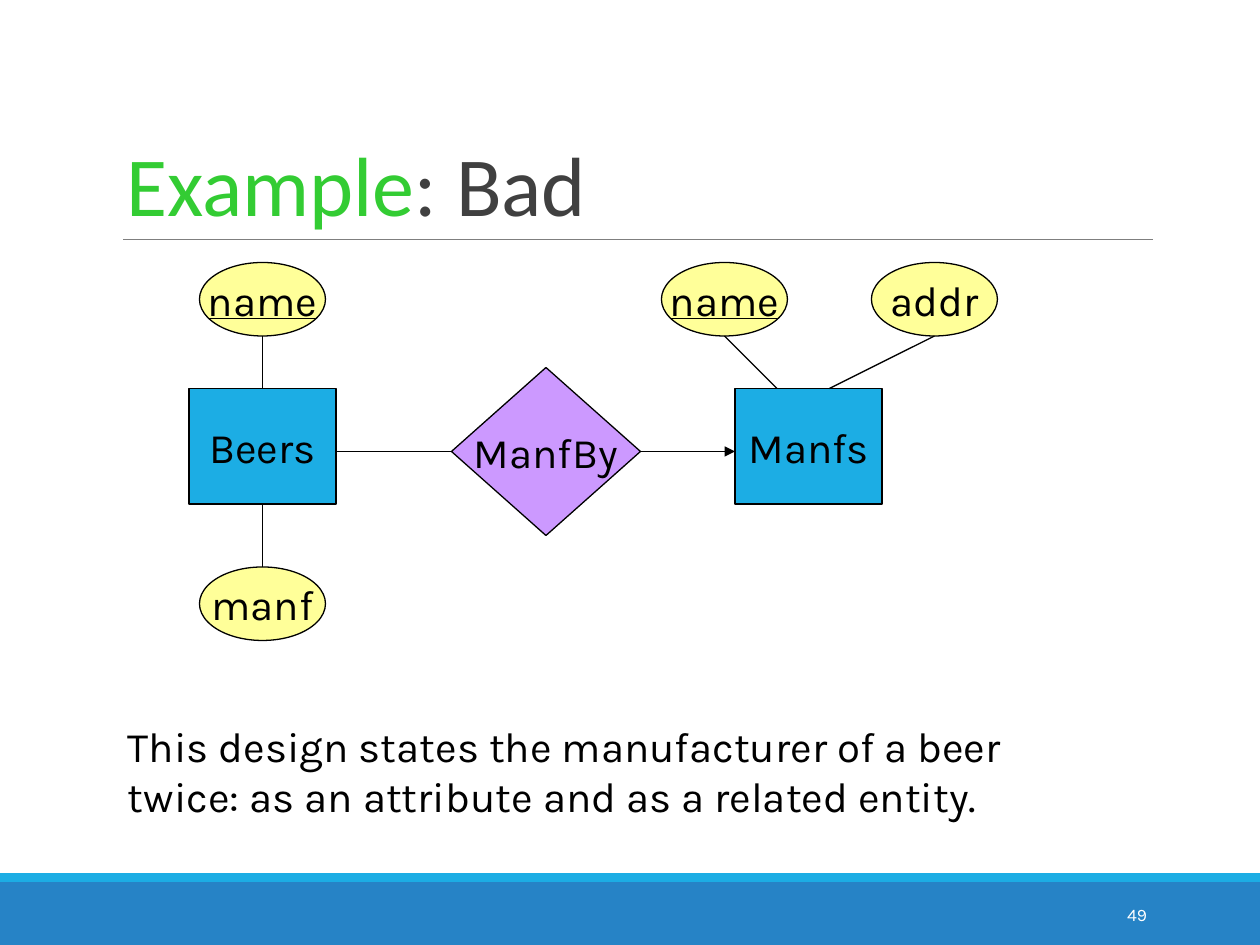
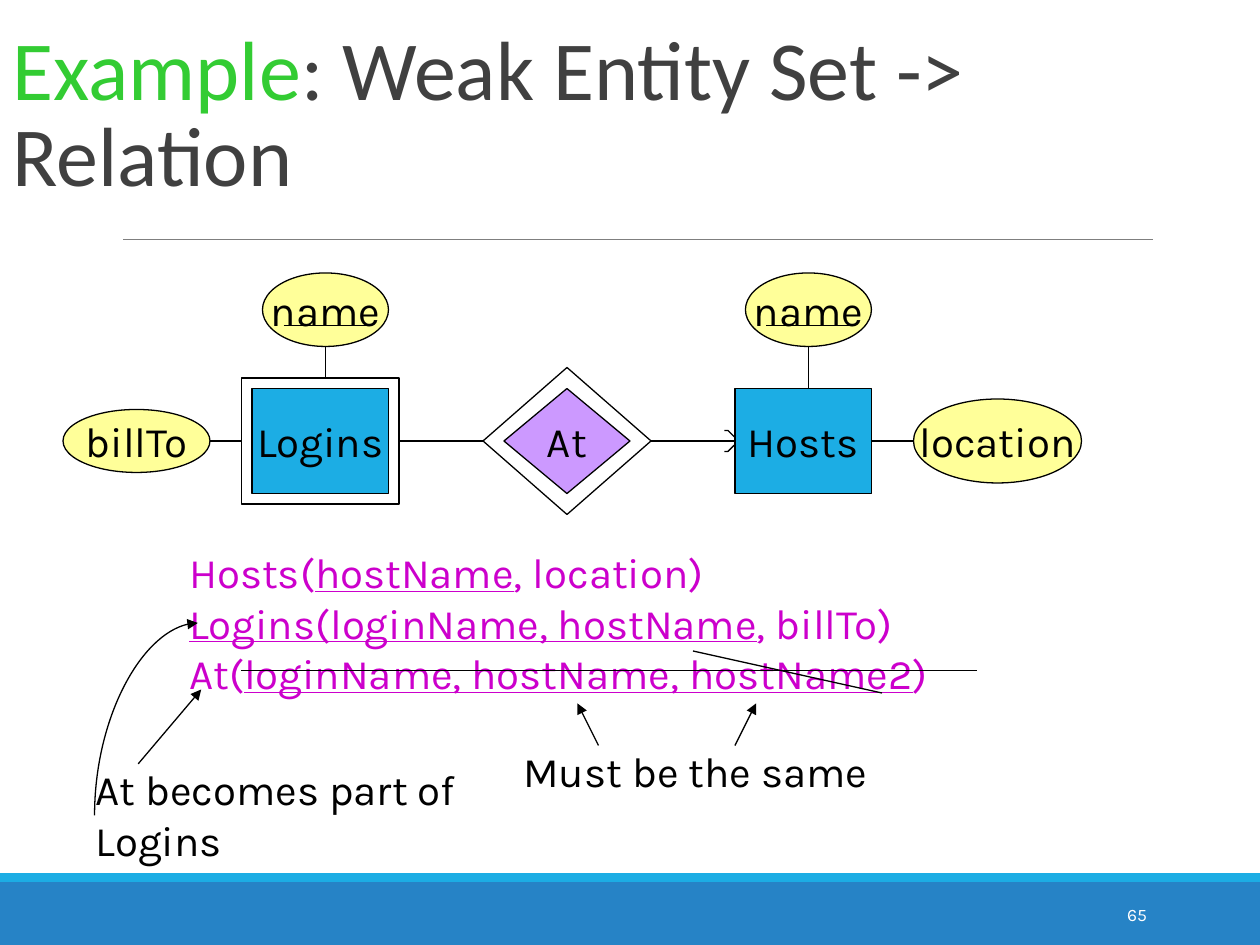
from math import cos, pi, sin

from pptx import Presentation
from pptx.dml.color import RGBColor
from pptx.enum.shapes import MSO_CONNECTOR as Conn, MSO_SHAPE as Kind
from pptx.enum.text import MSO_ANCHOR as Anchor, MSO_AUTO_SIZE as Fit, PP_ALIGN as Align
from pptx.oxml.ns import qn
from pptx.util import Pt
from lxml.etree import SubElement

WIDE, HIGH = 720, 540
HEAD, BODY = "Calibri", "Karla"
HUES = {
    "band": "2683C6", "sky": "1CADE4", "rule": "7F7F7F", "green": "33CC33",
    "title": "404040", "ink": "000000", "white": "FFFFFF",
    "yellow": "FFFF99", "lilac": "CC99FF", "pink": "CC00CC",
}
NODES = {
    "entity": (Kind.RECTANGLE, "sky"),
    "link": (Kind.DIAMOND, "lilac"),
    "field": (Kind.OVAL, "yellow"),
    "frame": (Kind.RECTANGLE, None),
    "rim": (Kind.DIAMOND, None),
}


def hue(name):
    return RGBColor.from_string(HUES[name])


def place(box):
    return [Pt(n) for n in box]


def style(run, size, color, face=BODY, under=None):
    font = run.font
    font.size, font.name, font.underline = Pt(size), face, under
    font.color.rgb = hue(color)


def paint(shape, fill, line="ink"):
    shape.shadow.inherit = False
    if fill:
        shape.fill.solid()
        shape.fill.fore_color.rgb = hue(fill)
    else:
        shape.fill.background()
    if line:
        shape.line.color.rgb = hue(line)
        shape.line.width = Pt(0.75)
    else:
        shape.line.fill.background()


def stroke(shapes, start, end, arrow=False, color="ink", width=0.75, kind=Conn.STRAIGHT):
    line = shapes.add_connector(kind, *place(start + end))
    line.line.color.rgb = hue(color)
    line.line.width = Pt(width)
    props = line._element.spPr
    if arrow:
        SubElement(props.find(qn("a:ln")), qn("a:tailEnd"), type="triangle")
    SubElement(props, qn("a:effectLst"))
    return line


def bend(shapes, start, end):
    (left, low), (right, top) = start, end
    mid_x, mid_y = (left + right) / 2, (low + top) / 2
    half_w, half_h = (low - top) / 2, (right - left) / 2
    line = stroke(shapes, (mid_x + half_w, mid_y + half_h),
                  (mid_x - half_w, mid_y - half_h), True, kind=Conn.CURVE)
    props = line._element.spPr
    props.find(qn("a:xfrm")).set("rot", str(90 * 60000))
    props.find(qn("a:prstGeom")).set("prst", "curvedConnector2")


def fill_line(para, text, color):
    for i, part in enumerate(text.split("|")):
        if part:
            run = para.add_run()
            run.text = part
            style(run, 24, color, under=True if i % 2 else None)


def write(shapes, box, lines, color="ink", wrap=False):
    frame = shapes.add_textbox(*place(box)).text_frame
    frame.word_wrap = wrap
    frame.auto_size = Fit.SHAPE_TO_FIT_TEXT
    for i, text in enumerate(lines):
        para = frame.add_paragraph() if i else frame.paragraphs[0]
        fill_line(para, text, color)


def draw_node(shapes, role, box, text):
    kind, fill = NODES[role]
    shape = shapes.add_shape(kind, *place(box))
    paint(shape, fill)
    if text:
        frame = shape.text_frame
        frame.word_wrap = False
        frame.vertical_anchor = Anchor.MIDDLE
        para = frame.paragraphs[0]
        para.alignment = Align.CENTER
        fill_line(para, text, "ink")


def draw_graph(slide, left, top, nodes, links):
    for role, (x, y, w, h), text in nodes:
        draw_node(slide.shapes, role, (left + x, top + y, w, h), text)
    for (x1, y1), (x2, y2), *arrow in links:
        stroke(slide.shapes, (left + x1, top + y1), (left + x2, top + y2), *arrow)


def draw_arc(slide, left, mid, size):
    steps = [pi * (i / 12 - 0.5) for i in range(13)]
    dots = [(left + size * cos(t), mid + size * sin(t)) for t in steps]
    path = slide.shapes.build_freeform(*dots[0], scale=Pt(1))
    path.add_line_segments(dots[1:], close=False)
    paint(path.convert_to_shape(), None)


def draw_foot(slide, number):
    for top, high, color in ((504, 36, "band"), (499, 5, "sky")):
        band = slide.shapes.add_shape(Kind.RECTANGLE, *place((0, top, WIDE, high)))
        paint(band, color, None)
    frame = slide.shapes.add_textbox(*place((584.5, 508.5, 78, 28.5))).text_frame
    frame.word_wrap = True
    frame.vertical_anchor = Anchor.MIDDLE
    frame.text = str(number)
    para = frame.paragraphs[0]
    para.alignment = Align.RIGHT
    style(para.runs[0], 10, "white")


def draw_title(slide, box, text):
    title = slide.shapes.title
    title.left, title.top, title.width, title.height = place(box)
    frame = title.text_frame
    frame.word_wrap = True
    frame.auto_size = Fit.NONE
    frame.vertical_anchor = Anchor.BOTTOM
    para = frame.paragraphs[0]
    para.alignment = Align.LEFT
    para.line_spacing = 0.85
    for part, color in (("Example", "green"), (": " + text, "title")):
        run = para.add_run()
        run.text = part
        style(run, 48, color, HEAD)


def start_slide(deck, box, text, number):
    slide = deck.slides.add_slide(deck.slide_layouts[5])
    draw_foot(slide, number)
    stroke(slide.shapes, (70.5, 137), (659, 137), color="rule", width=0.5)
    draw_title(slide, box, text)
    return slide


def add_bad(deck):
    slide = start_slide(deck, (65, 22.5, 594, 114.5), "Bad", 49)
    nodes = [
        ("entity", (0, 72, 84, 66), "Beers"),
        ("entity", (312, 72, 84, 66), "Manfs"),
        ("link", (150, 60, 108, 96), "ManfBy"),
        ("field", (6, 0, 72, 42), "|name|"),
        ("field", (270, 0, 72, 42), "|name|"),
        ("field", (390, 0, 72, 42), "addr"),
        ("field", (6, 174, 72, 42), "manf"),
    ]
    links = [
        ((150, 108), (84, 108)),
        ((258, 108), (312, 108), True),
        ((42, 42), (42, 72)),
        ((42, 174), (42, 138)),
        ((306, 42), (336, 72)),
        ((426, 42), (366, 72)),
    ]
    draw_graph(slide, 108, 150, nodes, links)
    write(slide.shapes, (66, 408, 541.5, 65), [
        "This design states the manufacturer of a beer twice: "
        "as an attribute and as a related entity."], wrap=True)


def add_same(slide, left, top):
    shapes = slide.shapes.add_group_shape().shapes
    write(shapes, (left, top + 20.5, 216, 36), ["Must be the same"])
    for foot, tip in ((50, 38), (128, 140)):
        stroke(shapes, (left + foot, top + 24), (left + tip, top), True)


def add_merge(slide, left, top):
    shapes = slide.shapes.add_group_shape().shapes
    write(shapes, (left, top + 77, 228, 65), ["At becomes part of", "Logins"])
    stroke(shapes, (left + 31.5, top + 80.5), (left + 67.5, top + 38), True)
    bend(shapes, (left + 6.5, top + 110), (left + 65.5, top))


def add_weak(deck):
    slide = start_slide(deck, (0, 30, 720, 90), "Weak Entity Set -> Relation", 65)
    nodes = [
        ("frame", (102, 60, 90, 72), ""),
        ("rim", (240, 54, 96, 84), ""),
        ("entity", (108, 66, 78, 60), "Logins"),
        ("entity", (384, 66, 78, 60), "Hosts"),
        ("link", (252, 66, 72, 60), "At"),
        ("field", (114, 0, 72, 42), "name"),
        ("field", (390, 0, 72, 42), "name"),
        ("field", (0, 78, 84, 36), "billTo"),
        ("field", (486, 72, 96, 48), "location"),
    ]
    links = [((a, 96), (b, 96)) for a, b in ((84, 102), (192, 240), (336, 384), (462, 486))]
    links += [((150, 42), (150, 60)), ((426, 42), (426, 66))]
    links += [((x, 30), (x + 48, 30)) for x in (126, 402)]
    draw_graph(slide, 36, 156, nodes, links)
    draw_arc(slide, 414, 252, 6)
    write(slide.shapes, (101, 309, 450, 93.5), [
        "Hosts(|hostName|, location)",
        "|Logins(loginName, hostName|, billTo)",
        "At(|loginName, hostName, hostName2|)"], "pink")
    add_same(slide, 292, 402)
    add_merge(slide, 47.5, 356)
    stroke(slide.shapes, (396, 372), (504, 396))
    stroke(slide.shapes, (138, 383), (558, 383))


def main():
    deck = Presentation()
    deck.slide_width, deck.slide_height = Pt(WIDE), Pt(HIGH)
    add_bad(deck)
    add_weak(deck)
    deck.save("out.pptx")


if __name__ == "__main__":
    main()
